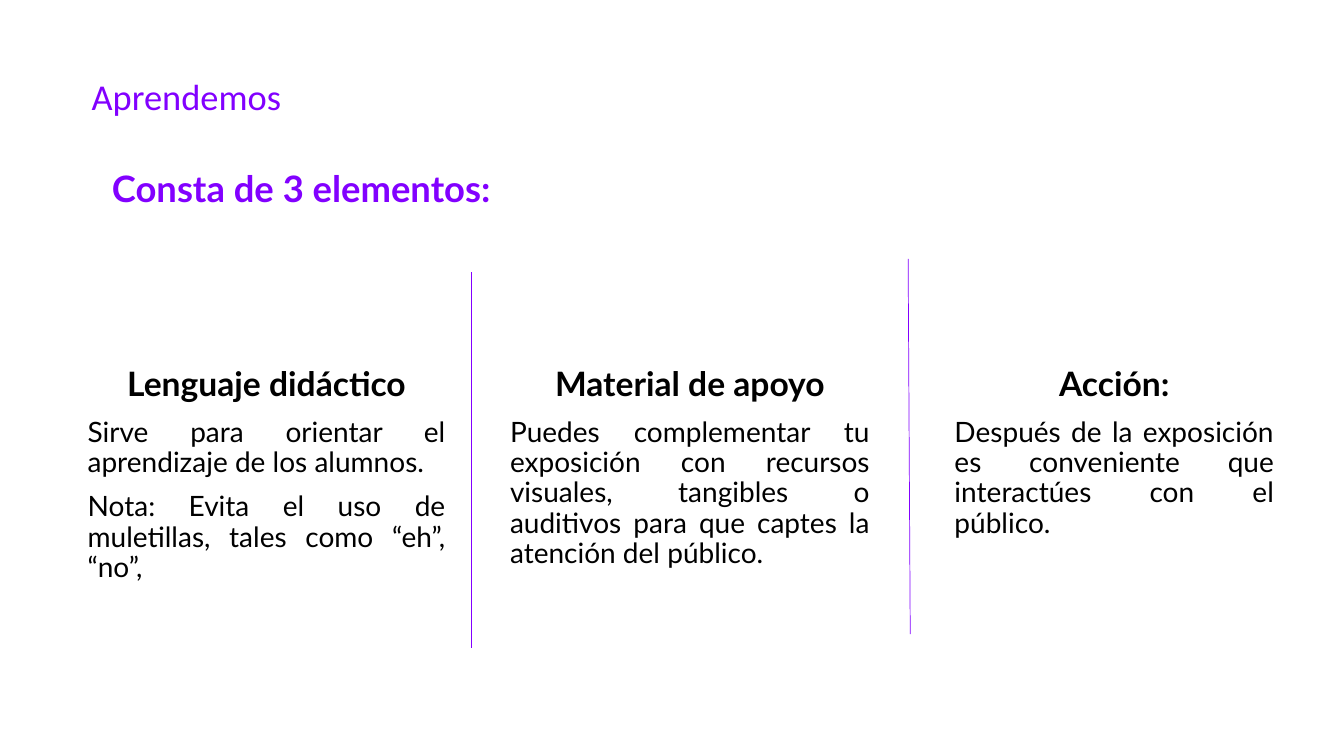
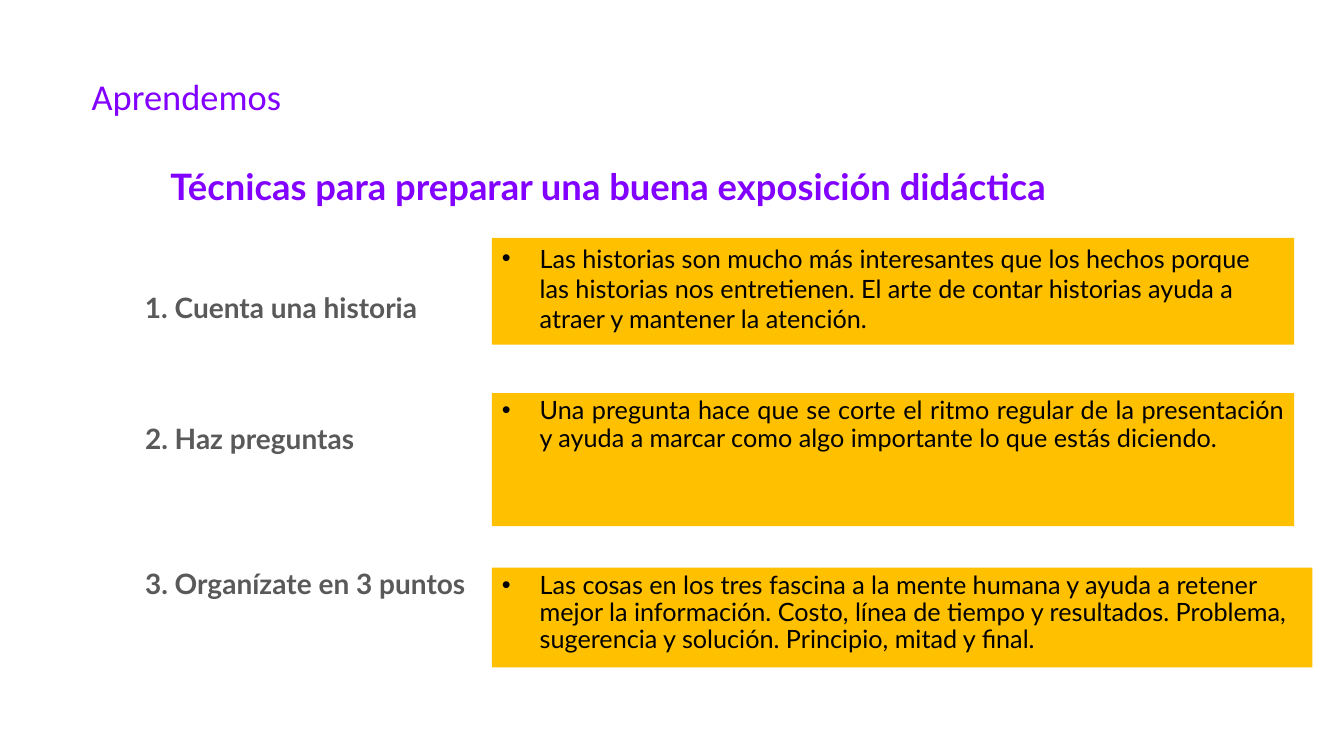
from lxml.etree import SubElement
from pptx import Presentation
from pptx.dml.color import RGBColor
from pptx.enum.shapes import MSO_CONNECTOR, MSO_SHAPE
from pptx.enum.text import MSO_ANCHOR, MSO_AUTO_SIZE, PP_ALIGN
from pptx.oxml.ns import qn
from pptx.util import Pt

# Shared style
PURPLE, AMBER, BLACK, GRAY = "8200FF", "FFC000", "000000", "595959"
TITLE_FONT, TEXT_FONT = "Calibri", "Lato"
TITLE_BOX = (58.3, 52.6, 844.6, 30.2)
HANGING_INDENT = 27
COMPARISON_LAYOUT, CONTENT_LAYOUT = 4, 1


def color(hex_string):
    return RGBColor.from_string(hex_string)


def place(shape, box):
    shape.left, shape.top, shape.width, shape.height = (Pt(value) for value in box)


def prepare_frame(shape, anchor=MSO_ANCHOR.TOP):
    frame = shape.text_frame
    frame.word_wrap = True
    frame.auto_size = MSO_AUTO_SIZE.NONE
    frame.vertical_anchor = anchor
    frame.margin_left = frame.margin_right = Pt(7.2)
    frame.margin_top = frame.margin_bottom = Pt(3.6)
    return frame


def write(paragraph, text, *, size, font=TEXT_FONT, hex_color=BLACK, bold=False,
          align=PP_ALIGN.LEFT, line_spacing=0.9, space_before=0, bullet=False):
    properties = paragraph._p.get_or_add_pPr()
    indent = Pt(HANGING_INDENT) if bullet else 0
    properties.set("marL", str(indent))
    properties.set("indent", str(-indent))
    if bullet:
        SubElement(properties, qn("a:buFont"), typeface="Arial")
        SubElement(properties, qn("a:buChar"), char="•")
    else:
        SubElement(properties, qn("a:buNone"))
    paragraph.alignment = align
    paragraph.line_spacing = line_spacing
    paragraph.space_before = Pt(space_before)
    run = paragraph.add_run()
    run.text = text
    run.font.name = font
    run.font.size = Pt(size)
    run.font.bold = bold
    run.font.color.rgb = color(hex_color)


def add_titled_slide(presentation, layout, heading, heading_box):
    """Add a slide with the common title and a purple heading."""
    slide = presentation.slides.add_slide(presentation.slide_layouts[layout])
    title = slide.shapes.title
    place(title, TITLE_BOX)
    write(prepare_frame(title).paragraphs[0], "Aprendemos", size=26,
          font=TITLE_FONT, hex_color=PURPLE)
    body = slide.placeholders[1]
    place(body, heading_box)
    write(prepare_frame(body, MSO_ANCHOR.MIDDLE).paragraphs[0], heading, size=26,
          hex_color=PURPLE, bold=True)
    return slide


def fill_column(placeholder, box, heading, texts):
    place(placeholder, box)
    frame = prepare_frame(placeholder)
    write(frame.paragraphs[0], heading, size=24, bold=True, align=PP_ALIGN.CENTER)
    for text in texts:
        write(frame.add_paragraph(), text, size=20, align=PP_ALIGN.JUSTIFY,
              space_before=10)


def add_divider(slide, start_x, start_y, end_x, end_y):
    ends = (Pt(value) for value in (start_x, start_y, end_x, end_y))
    connector = slide.shapes.add_connector(MSO_CONNECTOR.STRAIGHT, *ends)
    connector.line.color.rgb = color(PURPLE)
    connector.line.width = Pt(0.5)
    SubElement(connector._element.spPr, qn("a:effectLst"))


def add_technique(slide, label, label_box, text, panel_box, **text_format):
    """Add an amber panel with one bullet, and its label on the left."""
    panel = slide.shapes.add_shape(MSO_SHAPE.RECTANGLE,
                                   *(Pt(value) for value in panel_box))
    panel.shadow.inherit = False
    panel.fill.solid()
    panel.fill.fore_color.rgb = color(AMBER)
    panel.line.fill.background()
    write(prepare_frame(panel).paragraphs[0], text, size=18, bullet=True, **text_format)

    label_shape = slide.shapes.add_textbox(*(Pt(value) for value in label_box))
    write(prepare_frame(label_shape, MSO_ANCHOR.MIDDLE).paragraphs[0], label, size=20,
          hex_color=GRAY, bold=True, line_spacing=1.0)


def build_elements_slide(presentation):
    slide = add_titled_slide(presentation, COMPARISON_LAYOUT,
                             "Consta de 3 elementos:", (72.7, 115, 329.8, 42.5))
    top = 259.2
    columns = [
        ((55.4, top, 270, 228.2), "Lenguaje didáctico",
         ["Sirve para orientar el aprendizaje de los alumnos.",
          "Nota: Evita el uso de muletillas, tales como “eh”, “no”,"]),
        ((357.1, top, 271.4, 175), "Material de apoyo",
         ["Puedes complementar tu exposición con recursos visuales, tangibles o "
          "auditivos para que captes la atención del público."]),
        ((674.6, top, 242.6, 164.2), "Acción:",
         ["Después de la exposición es conveniente que interactúes con el público."]),
    ]
    for index, column in enumerate(columns, start=2):
        fill_column(slide.placeholders[index], *column)
    add_divider(slide, 337, 194.4, 337, 463)
    add_divider(slide, 648.7, 185, 650.2, 452.9)


def build_techniques_slide(presentation):
    slide = add_titled_slide(presentation, CONTENT_LAYOUT,
                             "Técnicas para preparar una buena exposición didáctica",
                             (114.5, 113.8, 738.7, 42.5))
    label_left, label_height, panel_left = 96.5, 37.4, 351.4
    # Label, its top and width, text, panel top, width and height, text format
    techniques = [
        ("1. Cuenta una historia", 200.9, 235.4,
         "Las historias son mucho más interesantes que los hechos porque las historias "
         "nos entretienen. El arte de contar historias ayuda a atraer y mantener la "
         "atención.", 170, 573, 76.3, {"line_spacing": 1.0}),
        ("2. Haz preguntas", 294.5, 320.4,
         "Una pregunta hace que se corte el ritmo regular de la presentación y ayuda a "
         "marcar como algo importante lo que estás diciendo.",
         280.8, 573, 95, {"align": PP_ALIGN.JUSTIFY}),
        ("3. Organízate en 3 puntos", 398.2, 265,
         "Las cosas en los tres fascina a la mente humana y ayuda a retener mejor la "
         "información. Costo, línea de tiempo y resultados. Problema, sugerencia y "
         "solución. Principio, mitad y final.", 405.4, 586, 71.3, {}),
    ]
    for label, label_top, label_width, text, top, width, height, text_format in techniques:
        add_technique(slide, label, (label_left, label_top, label_width, label_height),
                      text, (panel_left, top, width, height), **text_format)


def main():
    presentation = Presentation()
    presentation.slide_width, presentation.slide_height = Pt(960), Pt(540)
    build_elements_slide(presentation)
    build_techniques_slide(presentation)
    presentation.save("out.pptx")


if __name__ == "__main__":
    main()
